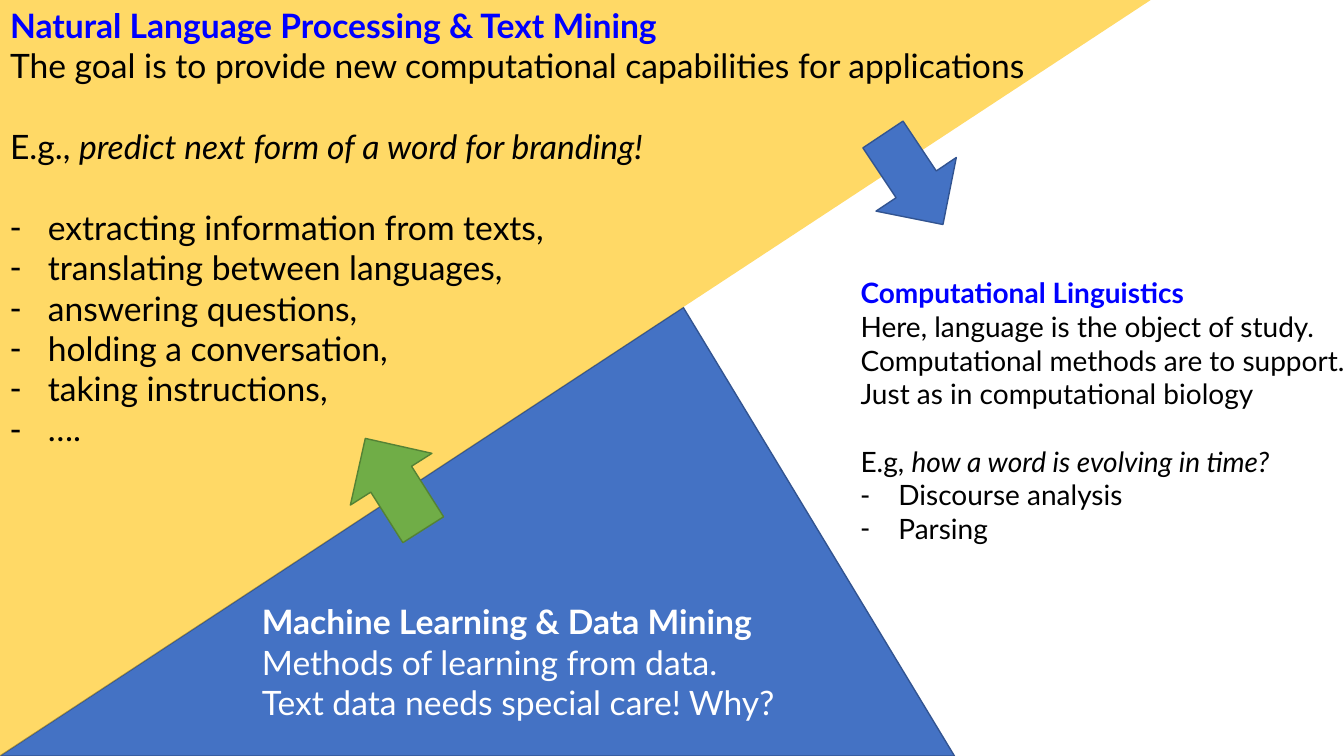
import lxml.etree
import pptx
import pptx.dml.color
import pptx.enum.shapes
import pptx.enum.text
import pptx.oxml.ns
import pptx.util

PX = 9525  # EMU in one px, 96 px to the inch
WIDTH, HEIGHT = 1280, 720
INDENT = 36
FONT = "Lato"
COLORS = {
    "heading": "0000FF", "text": "000000", "white": "FFFFFF",
    "blue": "4472C4", "blue_line": "325491",
    "green": "70AD47", "green_line": "548235", "yellow": "FFC000",
}
SHAPES = pptx.enum.shapes.MSO_SHAPE
qn = pptx.oxml.ns.qn


def rgb(name):
    return pptx.dml.color.RGBColor.from_string(COLORS[name])


def place(sp, x, y, w, h):
    sp.left, sp.top, sp.width, sp.height = (v * PX for v in (x, y, w, h))


def add_shape(slide, kind, box, fill, line=None, rotation=0):
    sp = slide.shapes.add_shape(kind, *(v * PX for v in box))
    sp.shadow.inherit = False
    sp.rotation = rotation
    sp.fill.solid()
    sp.fill.fore_color.rgb = rgb(fill)
    if line:
        sp.line.color.rgb = rgb(line)
        sp.line.width = pptx.util.Pt(1)
    else:
        sp.line.fill.background()
    return sp


def prepare_frame(sp, box):
    """Place a text holder above the shapes drawn so far; return its frame."""
    place(sp, *box)
    sp.element.getparent().append(sp.element)
    tf = sp.text_frame
    tf.word_wrap = True
    tf.auto_size = pptx.enum.text.MSO_AUTO_SIZE.NONE
    tf.vertical_anchor = pptx.enum.text.MSO_ANCHOR.TOP
    return tf


def add_text(tf, text, size, color="text", bold=False, example="", gap=0, bullet=False):
    """Write one paragraph; example is an italic ending, gap is in points."""
    p = tf.paragraphs[0] if not tf.text else tf.add_paragraph()
    p.alignment = pptx.enum.text.PP_ALIGN.LEFT
    p.space_before = pptx.util.Pt(gap)
    pPr = p._p.get_or_add_pPr()
    indent = INDENT * PX if bullet else 0
    pPr.set("marL", str(indent))
    pPr.set("indent", str(-indent))
    if bullet:
        lxml.etree.SubElement(pPr, qn("a:buChar")).set("char", "-")
    else:
        lxml.etree.SubElement(pPr, qn("a:buNone"))
    for part, italic in ((text, False), (example, True)):
        if part:
            r = p.add_run()
            r.text = part
            r.font.name = FONT
            r.font.size = pptx.util.Pt(size)
            r.font.bold = bold
            r.font.italic = italic
            r.font.color.rgb = rgb(color)


def draw_background(slide, x, y, w, h):
    """Blue triangle at the bottom, see-through yellow corner at the top left."""
    blue = add_shape(slide, SHAPES.ISOSCELES_TRIANGLE, (x, y + h - 427, 909, 427),
                     "blue", "blue_line")
    blue.adjustments[0] = 0.716
    reach = 1096
    shift = (reach - h) // 2  # a quarter turn swaps width and height
    yellow = add_shape(slide, SHAPES.ISOSCELES_TRIANGLE, (x + shift, y - shift, h, reach),
                       "yellow", rotation=90)
    yellow.adjustments[0] = 0
    color = yellow.fill._xPr.find(".//" + qn("a:srgbClr"))
    lxml.etree.SubElement(color, qn("a:alpha")).set("val", "60000")


def draw_language_processing(slide, x, y, w, h):
    size, line, inset = 24, 38, 10
    title = prepare_frame(slide.shapes.title, (x, y, w, line + inset))
    add_text(title, "Natural Language Processing & Text Mining", size, "heading", bold=True)
    tf = prepare_frame(slide.placeholders[1], (x, y + line, w, h - line))
    add_text(tf, "The goal is to provide new computational capabilities for applications", size)
    add_text(tf, "E.g., ", size, example="predict next form of a word for branding!", gap=29)
    tasks = ("extracting information from texts,", "translating between languages,",
             "answering questions,", "holding a conversation,", "taking instructions,", "….")
    for i, task in enumerate(tasks):
        add_text(tf, task, size, gap=0 if i else 29, bullet=True)


def draw_linguistics(slide, x, y, w, h):
    size = 20
    tf = prepare_frame(slide.placeholders[2], (x, y, w, h))
    add_text(tf, "Computational Linguistics", size, "heading", bold=True)
    for text in ("Here, language is the object of study.",
                 "Computational methods are to support.",
                 "Just as in computational biology"):
        add_text(tf, text, size)
    add_text(tf, "E.g, ", size, example="how a word is evolving in time?", gap=24)
    for text in ("Discourse analysis", "Parsing"):
        add_text(tf, text, size, bullet=True)


def draw_machine_learning(slide, x, y, w, h):
    tf = prepare_frame(slide.shapes.add_textbox(0, 0, 0, 0), (x, y, w, h))
    add_text(tf, "Machine Learning & Data Mining", 24, "white", bold=True)
    for text in ("Methods of learning from data.", "Text data needs special care! Why?"):
        add_text(tf, text, 24, "white")


def draw_arrow(slide, x, y, color, rotation):
    add_shape(slide, SHAPES.RIGHT_ARROW, (x, y, 103, 92), color, color + "_line", rotation)


def main():
    prs = pptx.Presentation()
    prs.slide_width, prs.slide_height = WIDTH * PX, HEIGHT * PX
    slide = prs.slides.add_slide(prs.slide_layouts.get_by_name("Two Content"))
    draw_background(slide, 0, 0, WIDTH, HEIGHT)
    draw_linguistics(slide, 810, 258, 570, 268)
    draw_language_processing(slide, 0, 0, 1034, 475)
    draw_machine_learning(slide, 240, 568, 610, 126)
    draw_arrow(slide, 818, 125, "blue", 56.3)
    draw_arrow(slide, 324, 415, "green", 237.6)
    prs.save("out.pptx")


if __name__ == "__main__":
    main()
